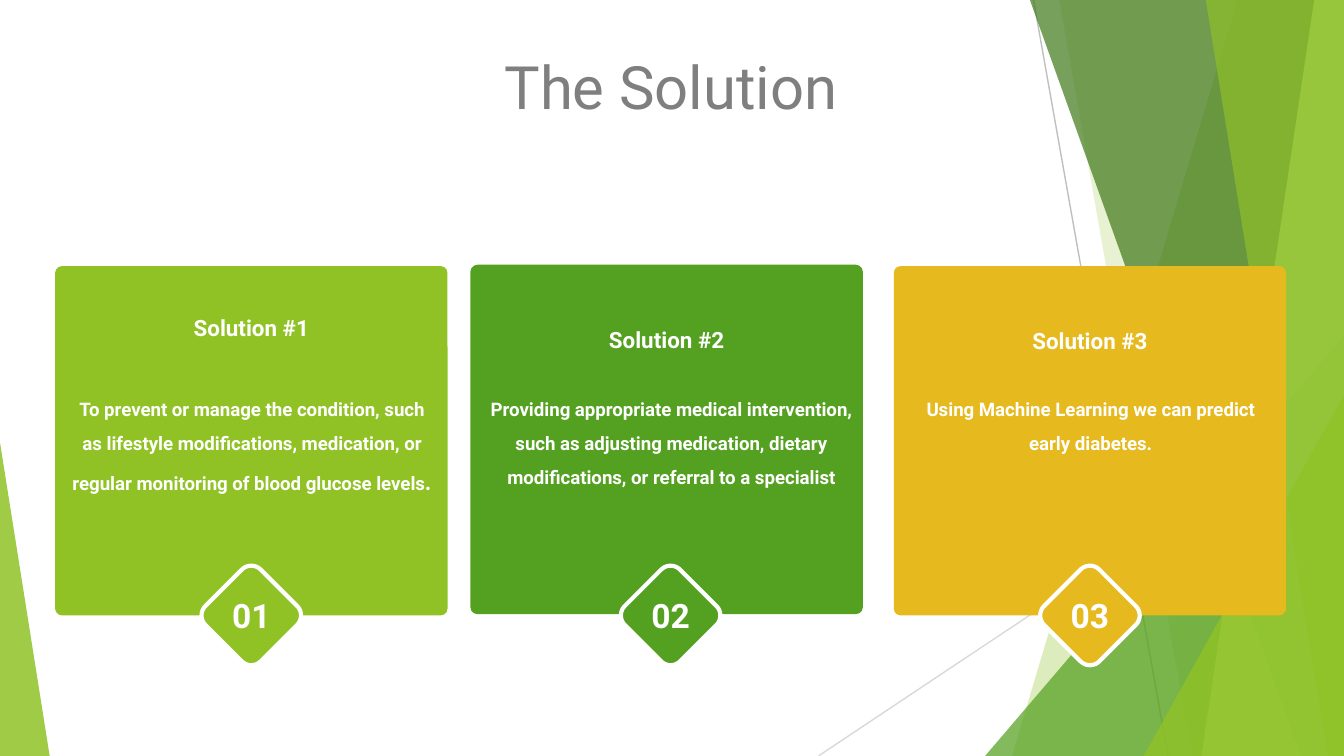
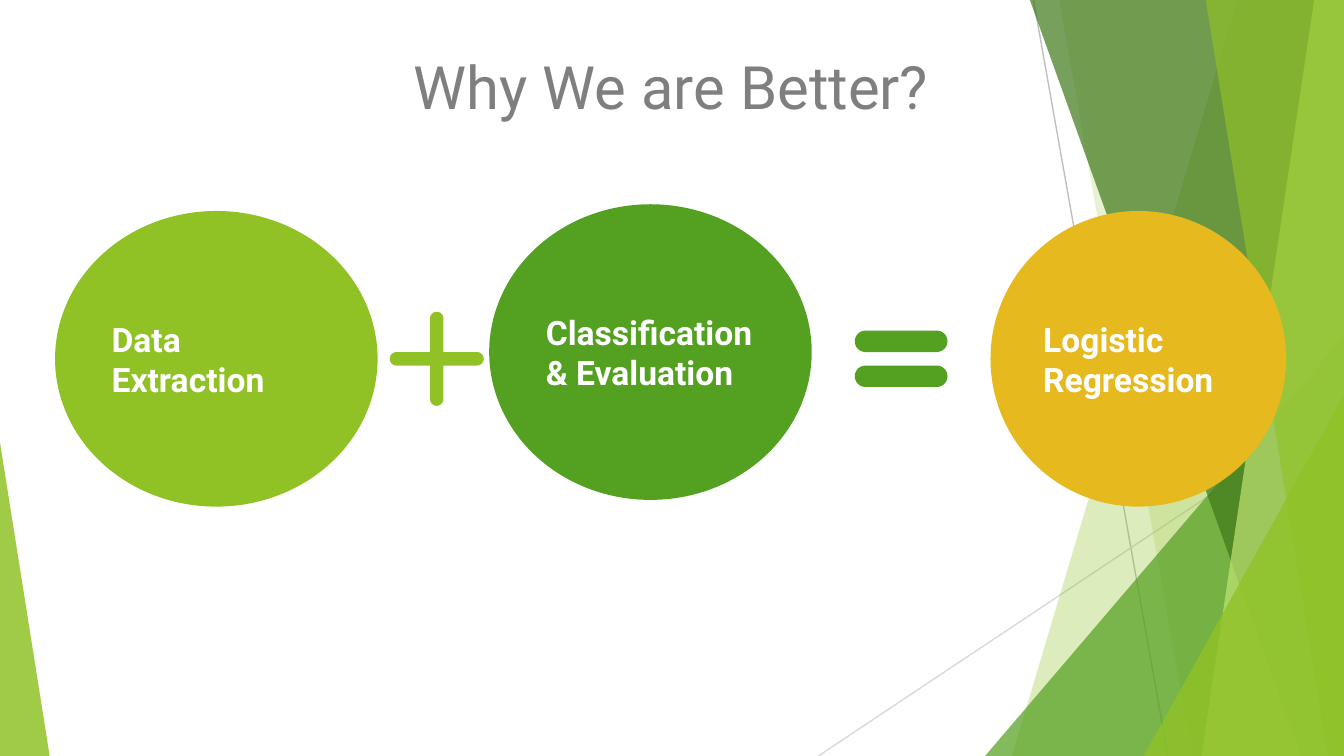
import math

import pptx
import pptx.enum.shapes
import pptx.enum.text
import pptx.oxml.ns
import pptx.util
from lxml import etree

LIME, GREEN, GOLD = "90C226", "54A021", "E6B91E"
DARK, PALE, GREY, WHITE = "3F7819", "C0E474", "7F7F7F", "FFFFFF"
Inches = pptx.util.Inches
Shapes = pptx.enum.shapes.MSO_SHAPE
Align = pptx.enum.text.PP_ALIGN
Anchor = pptx.enum.text.MSO_ANCHOR
qn = pptx.oxml.ns.qn


def paint(fill, colour):
    fill.solid()
    fill.fore_color.rgb = pptx.dml.color.RGBColor.from_string(colour)


def write(shape, text, size, colour=WHITE, bold=True, align=Align.CENTER,
          anchor=Anchor.MIDDLE, side=0, top=0, spacing=None):
    frame = shape.text_frame
    frame.word_wrap = True
    frame.vertical_anchor = anchor
    frame.margin_left = frame.margin_right = Inches(side)
    frame.margin_top = Inches(top)
    frame.margin_bottom = Inches(min(top, 0.05))
    paragraph = frame.paragraphs[0]
    paragraph.alignment = align
    paragraph.line_spacing = spacing
    run = paragraph.add_run()
    run.text = text
    run.font.name = "Roboto"
    run.font.size = pptx.util.Pt(size)
    run.font.bold = bold
    paint(run.font.fill, colour)
    return paragraph


presentation = pptx.Presentation()
presentation.slide_width = Inches(10)
presentation.slide_height = presentation.slide_width * 9 // 16
layout = presentation.slide_layouts[5]
right, bottom = presentation.slide_width, presentation.slide_height

slides = []
for heading in ("The Solution", "Why We are Better?"):
    slide = presentation.slides.add_slide(layout)
    title = slide.shapes.title
    title.left, title.top = Inches(0.42), Inches(0.37)
    title.width, title.height = Inches(9.15), Inches(0.54)
    write(title, heading, 32, GREY, bold=False)
    slides.append(slide)
solution_slide, better_slide = slides

backdrop = []
for start_x, start_y, end_x, colour in ((7.69, 0, 8.69, "BFBFBF"), (10, 3.02, 6.09, "D9D9D9")):
    connector = solution_slide.shapes.add_connector(
        pptx.enum.shapes.MSO_CONNECTOR.STRAIGHT,
        Inches(start_x), Inches(start_y), Inches(end_x), bottom)
    paint(connector.line.fill, colour)
    connector.line.width = pptx.util.Pt(0.75)
    etree.SubElement(connector.element.spPr, qn("a:effectLst"))
    backdrop.append(connector)

bands = [
    ("band", LIME, 30, (9.21, 7.53)),
    ("band", LIME, 20, (7.88, 8.87)),
    ("triangle", GREEN, 72, (7.33, 2.5, 2.67, 1)),
    ("band", DARK, 70, (7.66, 9.68)),
    ("band", PALE, 70, (9.78, 8.94)),
    ("band", LIME, 65, (8.97, 9.88)),
    ("triangle", LIME, 80, (8.51, 2.94, 1.49, 1)),
    ("triangle", LIME, 85, (0, 3.29, 0.37, 0)),
]
for kind, colour, opacity, geometry in bands:
    if kind == "triangle":
        left, top, width, apex = geometry
        shape = solution_slide.shapes.add_shape(
            Shapes.ISOSCELES_TRIANGLE, Inches(left), Inches(top), Inches(width),
            bottom - Inches(top))
        shape.adjustments[0] = apex
    else:
        top_left, bottom_left = map(Inches, geometry)
        edge = Inches(-0.01)
        builder = solution_slide.shapes.build_freeform(top_left, edge)
        builder.add_line_segments([(right, edge), (right, bottom), (bottom_left, bottom)])
        shape = builder.convert_to_shape()
    paint(shape.fill, colour)
    shape.line.fill.background()
    shape.shadow.inherit = False
    tint = shape.element.spPr.find(qn("a:solidFill")).find(qn("a:srgbClr"))
    etree.SubElement(tint, qn("a:alpha")).set("val", str(opacity * 1000))
    backdrop.append(shape)

for index, shape in enumerate(backdrop):
    shape.element.xpath("./*/p:cNvPr")[0].set("id", str(100 + index))
    layout.shapes.element.insert(2 + index, shape.element)

column_pitch = 3.12
cards = [
    (LIME, 0.41, 1.98, 0.34, 2.88, 0,
     "To prevent or manage the condition, such as lifestyle modifications, medication, "
     "or regular monitoring of blood glucose levels"),
    (GREEN, 3.5, 1.97, 0.44, 2.63, 0.25,
     "Providing appropriate medical intervention, such as adjusting medication, dietary "
     "modifications, or referral to a specialist"),
    (GOLD, 6.65, 1.98, 0.44, 2.63, 0.25,
     "Using Machine Learning we can predict early diabetes."),
]
outlines = [(better_slide, LIME, 3.25, 2.67, 0.3, 0.05, 90, "")]
for column, (colour, left, top, heading_inset, body_top, body_inset, text) in enumerate(cards):
    card = solution_slide.shapes.add_shape(
        Shapes.ROUNDED_RECTANGLE, Inches(left), Inches(top), Inches(2.92), Inches(2.6))
    card.adjustments[0] = 0.02
    paint(card.fill, colour)
    card.line.fill.background()
    card.shadow.inherit = False
    write(card, f"Solution #{column + 1}", 12, anchor=Anchor.TOP, side=0.1, top=heading_inset)

    body = solution_slide.shapes.add_textbox(
        Inches(0.51 + column * column_pitch), Inches(body_top), Inches(2.73), Inches(1.41))
    paragraph = write(body, text, 10, anchor=Anchor.TOP, top=body_inset, spacing=1.5)
    if column == 0:
        full_stop = paragraph.add_run()
        full_stop.text = "."
        full_stop.font.name = "Roboto"
        full_stop.font.size = pptx.util.Pt(12)
        full_stop.font.bold = True
        paint(full_stop.font.fill, WHITE)
    outlines.append((solution_slide, colour, 1.87 + column * column_pitch, 4.58,
                     0.27, 0.1, 45, f"0{column + 1}"))

for slide, colour, center_x, center_y, reach, radius, sweep, label in outlines:
    points = []
    for direction in range(0, 360, 90):
        heading = math.radians(direction)
        arc_x = center_x + reach * math.cos(heading)
        arc_y = center_y + reach * math.sin(heading)
        for step in range(-6, 7):
            angle = heading + math.radians(sweep * step / 6)
            points.append((arc_x + radius * math.cos(angle), arc_y + radius * math.sin(angle)))
        if not label:
            diagonal = heading + math.pi / 4
            inner = radius * math.sqrt(2)
            points.append((center_x + inner * math.cos(diagonal),
                           center_y + inner * math.sin(diagonal)))
    points = [(Inches(x), Inches(y)) for x, y in points]
    builder = slide.shapes.build_freeform(*points[0])
    builder.add_line_segments(points[1:])
    shape = builder.convert_to_shape()
    paint(shape.fill, colour)
    shape.shadow.inherit = False
    if label:
        paint(shape.line.fill, WHITE)
        shape.line.width = pptx.util.Pt(2.25)
        write(shape, label, 18, side=0.1, top=0.05)
    else:
        shape.line.fill.background()

circles = [
    (LIME, 0.41, 1.57, 2.4, "Data Extraction"),
    (GREEN, 3.64, 1.52, 2.4, "Classification & Evaluation"),
    (GOLD, 7.37, 1.57, 2.2, "Logistic Regression"),
]
for colour, left, top, width, text in circles:
    circle = better_slide.shapes.add_shape(
        Shapes.OVAL, Inches(left), Inches(top), Inches(width), Inches(2.2))
    paint(circle.fill, colour)
    circle.line.fill.background()
    circle.shadow.inherit = False
    write(circle, text, 18, align=Align.LEFT, side=0.07, top=0.04)

for row in range(2):
    equals_bar = better_slide.shapes.add_shape(
        Shapes.ROUNDED_RECTANGLE, Inches(6.36), Inches(2.46 + row * 0.26),
        Inches(0.69), Inches(0.16))
    equals_bar.adjustments[0] = 0.5
    paint(equals_bar.fill, GREEN)
    equals_bar.line.fill.background()
    equals_bar.shadow.inherit = False

presentation.save("out.pptx")
